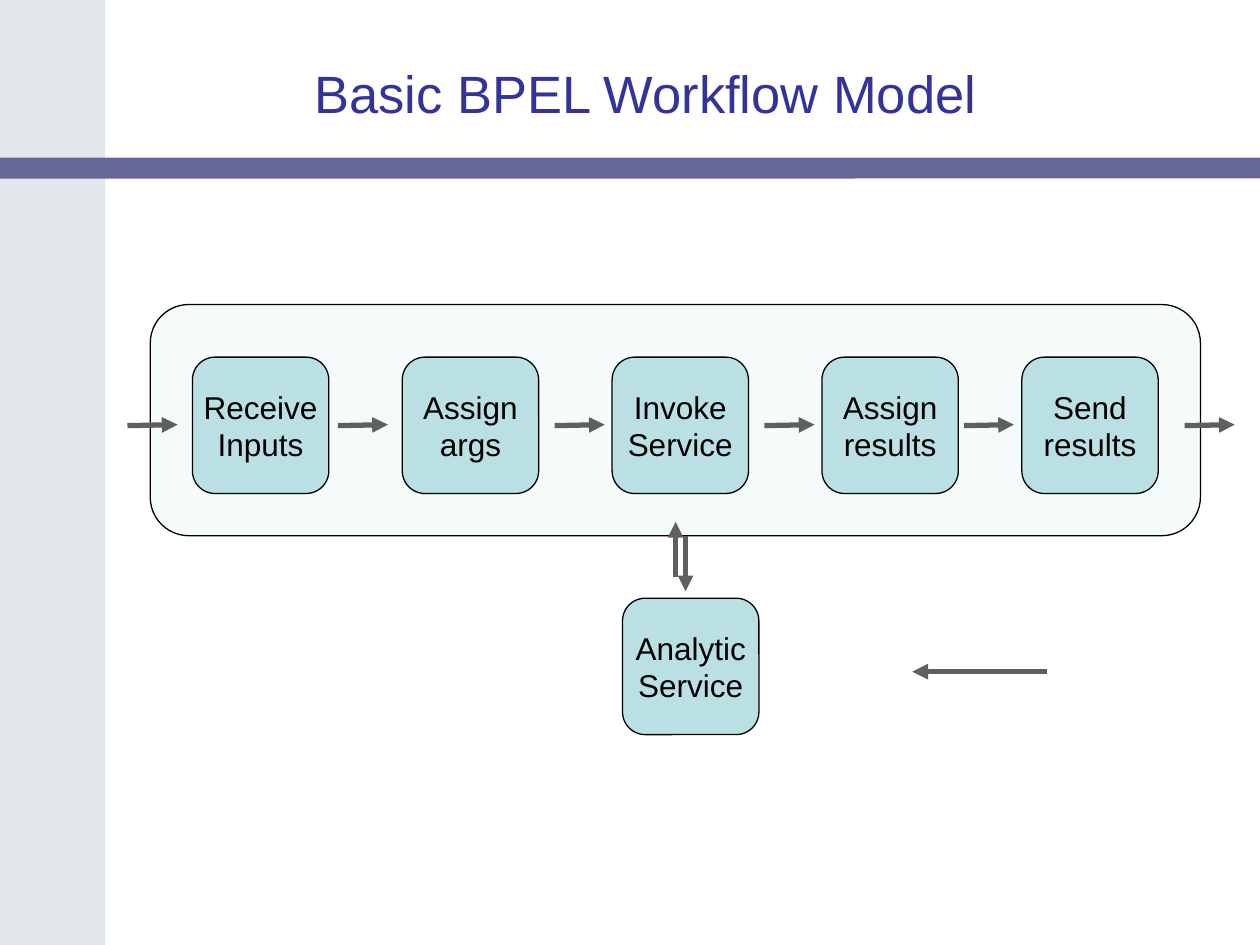
from lxml import etree
from pptx import Presentation
from pptx.dml.color import RGBColor
from pptx.enum.shapes import MSO_CONNECTOR, MSO_SHAPE as Shape
from pptx.enum.text import MSO_ANCHOR, PP_ALIGN
from pptx.oxml.ns import qn
from pptx.util import Cm, Pt

SIDEBAR = RGBColor(0xE1, 0xE6, 0xEB)
RULE = RGBColor(0x66, 0x66, 0x99)
TITLE = RGBColor(0x33, 0x33, 0x99)
BOX = RGBColor(0xBB, 0xE0, 0xE3)
BLACK = RGBColor(0x00, 0x00, 0x00)
ARROW = RGBColor(0x5F, 0x5F, 0x5F)

# Content, with lengths in centimetres
TITLE_TEXT = "Basic BPEL Workflow Model"
STEPS = ["Receive\nInputs", "Assign\nargs", "Invoke\nService", "Assign\nresults", "Send\nresults"]
SERVICE = "Analytic\nService"
BOX_SIZE = 2.75
STEP_LEFT, STEP_TOP, STEP_PITCH = 3.88, 7.2, 4.23
LAST_STEP_LEFT = 20.6
FLOW_STARTS = [2.57, 6.81, 11.18, 15.41, 19.43, 23.88]
FLOW_Y, FLOW_LENGTH = 8.58, 1.01
OTHER_ARROWS = [
    (13.62, 11.64, 13.62, 10.52),  # service to workflow
    (13.82, 10.8, 13.82, 11.92),   # workflow to service
    (21.11, 13.54, 18.39, 13.54),  # pointer beside the service
]


def write(shape, text, size, color):
    frame = shape.text_frame
    frame.text = text
    frame.vertical_anchor = MSO_ANCHOR.MIDDLE
    for paragraph in frame.paragraphs:
        paragraph.alignment = PP_ALIGN.CENTER
        font = paragraph.font
        font.name, font.size = "Arial", Pt(size)
        font.color.rgb = color
    return frame


def add_block(slide, kind, left, top, width, height, fill, outlined=False):
    shape = slide.shapes.add_shape(kind, Cm(left), Cm(top), Cm(width), Cm(height))
    shape.shadow.inherit = False
    shape.fill.solid()
    shape.fill.fore_color.rgb = fill
    if outlined:
        shape.line.color.rgb = BLACK
        shape.line.width = Pt(0.75)
    else:
        shape.line.fill.background()
    return shape


def add_box(slide, text, left, top):
    shape = add_block(slide, Shape.ROUNDED_RECTANGLE, left, top, BOX_SIZE, BOX_SIZE, BOX, True)
    write(shape, text, 18, BLACK).word_wrap = False


def add_arrow(slide, x1, y1, x2, y2):
    arrow = slide.shapes.add_connector(MSO_CONNECTOR.STRAIGHT, Cm(x1), Cm(y1), Cm(x2), Cm(y2))
    arrow.line.color.rgb = ARROW
    arrow.line.width = Pt(3)
    etree.SubElement(arrow.line._get_or_add_ln(), qn("a:tailEnd"), type="triangle")
    etree.SubElement(arrow._element.spPr, qn("a:effectLst"))


def main():
    presentation = Presentation()
    presentation.slide_width, presentation.slide_height = Cm(25.4), Cm(19.05)
    slide = presentation.slides.add_slide(presentation.slide_layouts[6])

    # Background bands
    add_block(slide, Shape.RECTANGLE, 0, 0, 2.12, 19.05, SIDEBAR)
    rule = add_block(slide, Shape.ROUNDED_RECTANGLE, 0, 3.18, 25.4, 0.42, RULE)
    rule.adjustments[0] = 0.01

    # Title
    title = slide.shapes.add_textbox(Cm(1.9), Cm(0.77), Cm(22.23), Cm(2.2))
    write(title, TITLE_TEXT, 30, TITLE).word_wrap = True

    # Translucent workflow frame
    frame = add_block(slide, Shape.ROUNDED_RECTANGLE, 3.03, 6.14, 21.17, 4.66, BOX, True)
    color = frame._element.spPr.find(qn("a:solidFill"))[0]
    etree.SubElement(color, qn("a:alpha"), val="14000")

    # Steps and the called service
    lefts = [STEP_LEFT + i * STEP_PITCH for i in range(len(STEPS) - 1)] + [LAST_STEP_LEFT]
    for text, left in zip(STEPS, lefts):
        add_box(slide, text, left, STEP_TOP)
    add_box(slide, SERVICE, 12.55, 12.06)

    # Arrows
    for start in FLOW_STARTS:
        add_arrow(slide, start, FLOW_Y, start + FLOW_LENGTH, FLOW_Y - 0.02)
    for ends in OTHER_ARROWS:
        add_arrow(slide, *ends)

    presentation.save("out.pptx")


if __name__ == "__main__":
    main()
